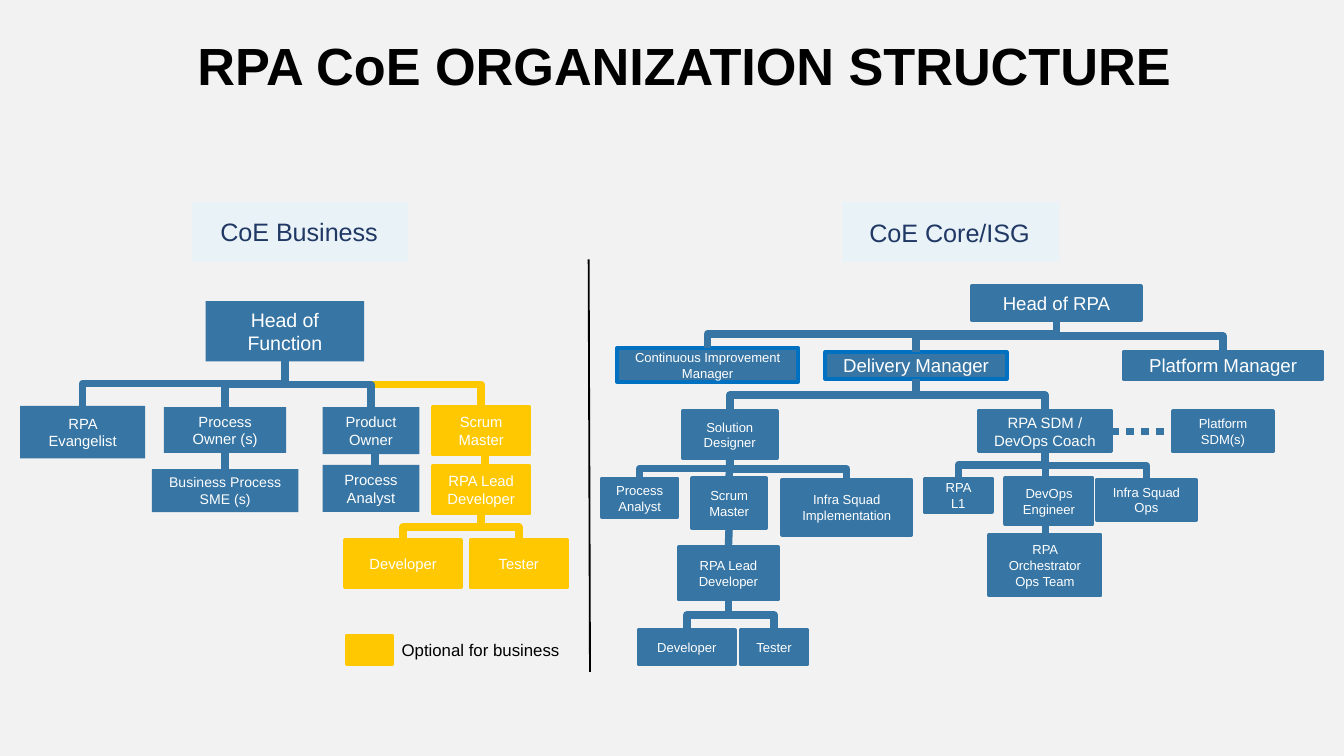
from lxml.etree import SubElement
from pptx import Presentation
from pptx.dml.color import RGBColor
from pptx.enum.dml import MSO_LINE as Dash
from pptx.enum.shapes import MSO_CONNECTOR as Conn, MSO_SHAPE as Shape
from pptx.enum.text import MSO_ANCHOR as Anchor, MSO_AUTO_SIZE as Fit, PP_ALIGN as Align
from pptx.oxml.ns import qn
from pptx.util import Inches, Pt

rgb = RGBColor.from_string
BLUE, GOLD, WHITE, BLACK = "3675A4", "FFC801", "FFFFFF", "000000"

deck = Presentation()
deck.slide_width = Inches(10)
deck.slide_height = Inches(10) * 9 // 16
slide = deck.slides.add_slide(deck.slide_layouts[6])
slide.background.fill.solid()
slide.background.fill.fore_color.rgb = rgb("F2F2F2")
shapes = slide.shapes


def write(shape, text, size, color, align=Align.CENTER, bold=False):
    para = shape.text_frame.paragraphs[0]
    para.text, para.alignment = text, align
    look = {"name": "Arial", "size": Pt(size), "bold": bold}
    for key, value in look.items():
        setattr(para.font, key, value)
    para.font.color.rgb = rgb(color)


def wire(kind, ends, color=BLUE, width=4):
    """Add a connector without a shadow; ends is x1, y1, x2, y2 in inches."""
    line = shapes.add_connector(kind, *map(Inches, ends))
    line.line.color.rgb, line.line.width = rgb(color), Pt(width)
    SubElement(line._element.spPr, qn("a:effectLst"))
    return line


# Upright stubs off the box centres: x, top, bottom, colour
stubs = [
    (2.79, 3.31, 3.46, BLUE),
    (3.61, 3.3, 3.47, GOLD),
    (7.78, 3.36, 3.56, BLUE),
    (7.78, 3.87, 3.98, BLUE),
]
for x, top, foot, color in stubs:
    wire(Conn.STRAIGHT, (x, top, x, foot), color)

# Divider
wire(Conn.STRAIGHT, (4.39, 5, 4.38, 1.93), BLACK, 1)

# Style: fill, border
styles = {
    "pale": ("E9F2F7", None),
    "plain": (BLUE, None),
    "gold": (GOLD, GOLD),
    "core": (BLUE, BLUE),
    "edge": (BLUE, "0070C0"),
}

# Key, parent, style, text, size, left, top, width, height
boxes = [
    ("biz", None, "pale", "", 0, 1.43, 1.5, 1.61, 0.45),
    ("isg", None, "pale", "", 0, 6.27, 1.5, 1.61, 0.45),
    ("legend", None, "gold", "", 0, 2.58, 4.73, 0.34, 0.21),
    # CoE Business
    ("head", None, "plain", "Head of Function", 10.5, 1.53, 2.24, 1.18, 0.45),
    ("scrum", "head", "gold", "Scrum Master", 7.9, 3.22, 3.03, 0.72, 0.35),
    ("lead", None, "gold", "RPA Lead Developer", 7.9, 3.22, 3.47, 0.72, 0.35),
    ("dev", "lead", "gold", "Developer", 7.9, 2.57, 4.02, 0.86, 0.35),
    ("test", "lead", "gold", "Tester", 7.9, 3.5, 4.02, 0.72, 0.35),
    ("evangel", "head", "plain", "RPA Evangelist", 7.9, 0.15, 3.02, 0.93, 0.39),
    ("process", "head", "plain", "Process Owner (s)", 7.9, 1.22, 3.03, 0.91, 0.34),
    ("sme", "process", "plain", "Business Process SME (s)", 7.5, 1.13, 3.49, 1.09, 0.32),
    ("product", "head", "plain", "Product Owner", 7.9, 2.4, 3.03, 0.72, 0.35),
    ("analyst", None, "plain", "Process Analyst", 7.9, 2.4, 3.46, 0.72, 0.35),
    # CoE Core/ISG
    ("chief", None, "core", "Head of RPA", 10, 7.23, 2.13, 1.26, 0.25),
    ("improve", "chief", "edge", "Continuous Improvement Manager", 7, 4.59, 2.59, 1.35, 0.25),
    ("deliver", "chief", "edge", "Delivery Manager", 10, 6.14, 2.62, 1.35, 0.2),
    ("platform", "chief", "core", "Platform Manager", 10, 8.36, 2.62, 1.48, 0.2),
    ("design", "deliver", "core", "Solution Designer", 7, 5.08, 3.06, 0.7, 0.35),
    ("study", "design", "core", "Process Analyst", 7, 4.48, 3.56, 0.56, 0.29),
    ("squad", "design", "core", "Scrum Master", 7, 5.15, 3.56, 0.55, 0.37),
    ("infra", "design", "core", "Infra Squad Implementation", 7, 5.82, 3.57, 0.96, 0.41),
    ("senior", "squad", "core", "RPA Lead Developer", 7, 5.05, 4.07, 0.74, 0.39),
    ("coder", "senior", "core", "Developer", 7, 4.75, 4.69, 0.72, 0.25),
    ("tester", "senior", "core", "Tester", 7, 5.51, 4.69, 0.5, 0.25),
    ("coach", "deliver", "core", "RPA SDM / DevOps Coach", 8, 7.28, 3.06, 0.99, 0.3),
    ("level", "coach", "core", "RPA L1", 7, 6.88, 3.56, 0.5, 0.25),
    ("devops", None, "core", "DevOps Engineer", 7, 7.48, 3.56, 0.65, 0.34),
    ("ops", "coach", "core", "Infra Squad Ops", 7, 8.16, 3.57, 0.74, 0.3),
    ("team", None, "core", "RPA Orchestrator Ops Team", 7, 7.36, 3.98, 0.83, 0.45),
    ("sdm", None, "core", "Platform SDM(s)", 7, 8.73, 3.06, 0.74, 0.3),
]

made = {}
for key, parent, style, text, size, *place in boxes:
    fill, edge = styles[style]
    box = made[key] = shapes.add_shape(Shape.RECTANGLE, *map(Inches, place))
    box.shadow.inherit = False
    box.fill.solid()
    box.fill.fore_color.rgb = rgb(fill)
    if edge:
        box.line.color.rgb, box.line.width = rgb(edge), Pt(2)
    else:
        box.line.fill.background()
    if text:
        box.text_frame.word_wrap = True
        box.text_frame.vertical_anchor = Anchor.MIDDLE
        write(box, text, size, WHITE)
    if not parent:
        continue

    boss = made[parent]
    shift = box.left + box.width // 2 - boss.left - boss.width // 2
    bent = abs(shift) > Inches(0.05)
    line = wire(Conn.ELBOW if bent else Conn.STRAIGHT, (0, 0, 1, 1), fill)
    line.begin_connect(boss, 2)
    line.end_connect(box, 0)
    if bent:
        # Turn the elbow a quarter so that it leaves downwards
        x, y = line.begin_x + shift // 2, (line.begin_y + line.end_y) // 2
        drop, span = line.end_y - line.begin_y, abs(shift)
        line.left, line.top = x - drop // 2, y - span // 2
        line.width, line.height = drop, span
        frame = line._element.spPr.find(qn("a:xfrm"))
        frame.set("rot", str((270 if shift > 0 else 90) * 60000))
        frame.set("flipH", "1" if shift > 0 else "0")
        frame.set("flipV", "0")

dots = wire(Conn.STRAIGHT, (8.27, 3.21, 8.73, 3.21))
dots.begin_connect(made["coach"], 3)
dots.end_connect(made["sdm"], 1)
dots.line.dash_style = Dash.ROUND_DOT

# Text, size, colour, alignment, wrap, place
notes = [
    ("CoE Business", 13.5, "203864", Align.CENTER, False, (1.53, 1.56, 1.39, 0.33)),
    ("CoE Core/ISG", 13.5, "203864", Align.CENTER, False, (6.36, 1.57, 1.41, 0.33)),
    ("Optional for business", 9, BLACK, Align.LEFT, True, (2.89, 4.71, 1.4, 0.25)),
]
for text, size, color, align, wrap, place in notes:
    note = shapes.add_textbox(*map(Inches, place))
    note.text_frame.word_wrap = wrap
    note.text_frame.auto_size = Fit.SHAPE_TO_FIT_TEXT
    write(note, text, size, color, align)

title = shapes.add_textbox(*map(Inches, (0.26, 0.15, 9.66, 0.63)))
title.text_frame.word_wrap = True
for side in ("left", "top", "right", "bottom"):
    setattr(title.text_frame, f"margin_{side}", Inches(0.1))
write(title, "RPA CoE ORGANIZATION STRUCTURE", 28, BLACK, bold=True)

deck.save("out.pptx")
